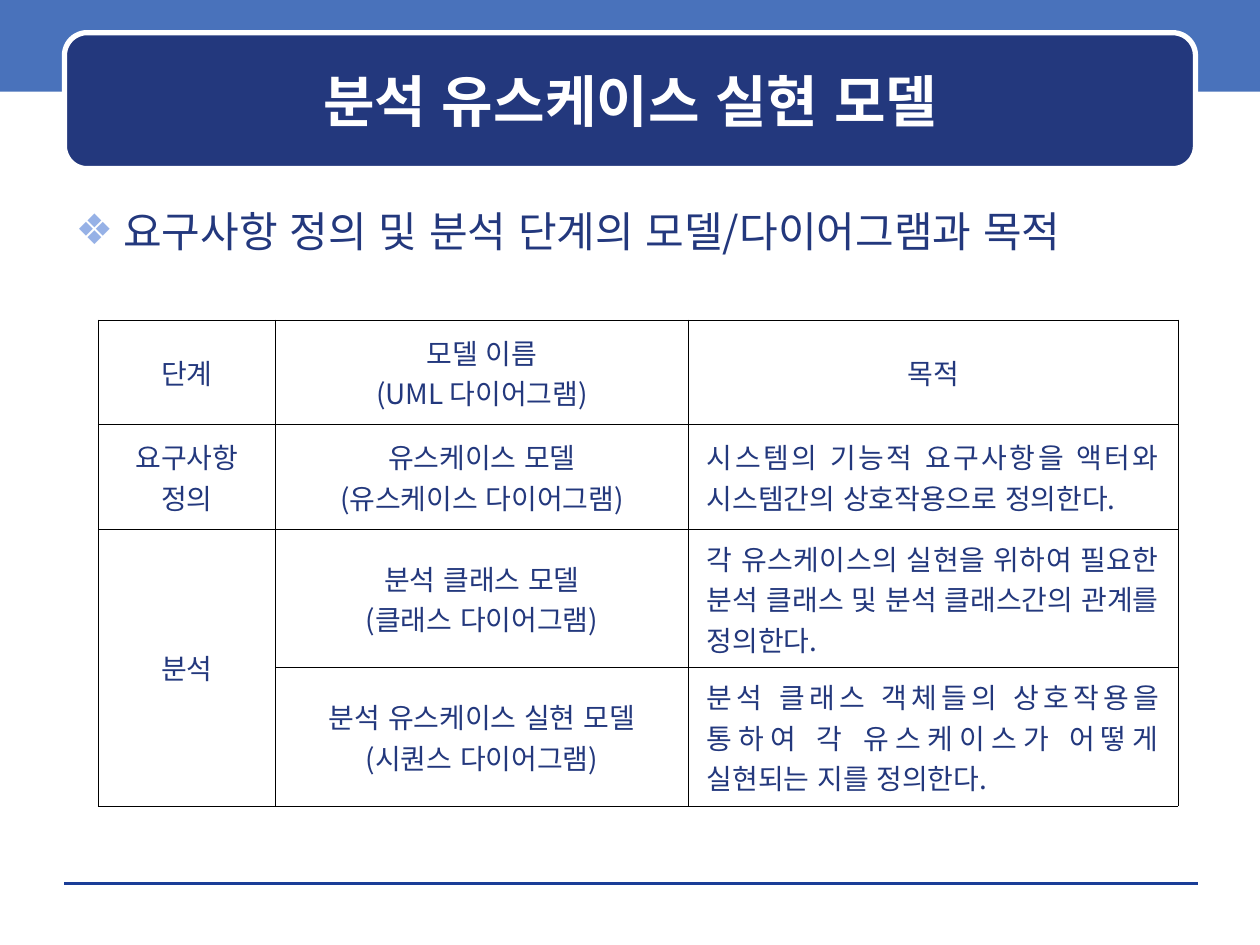
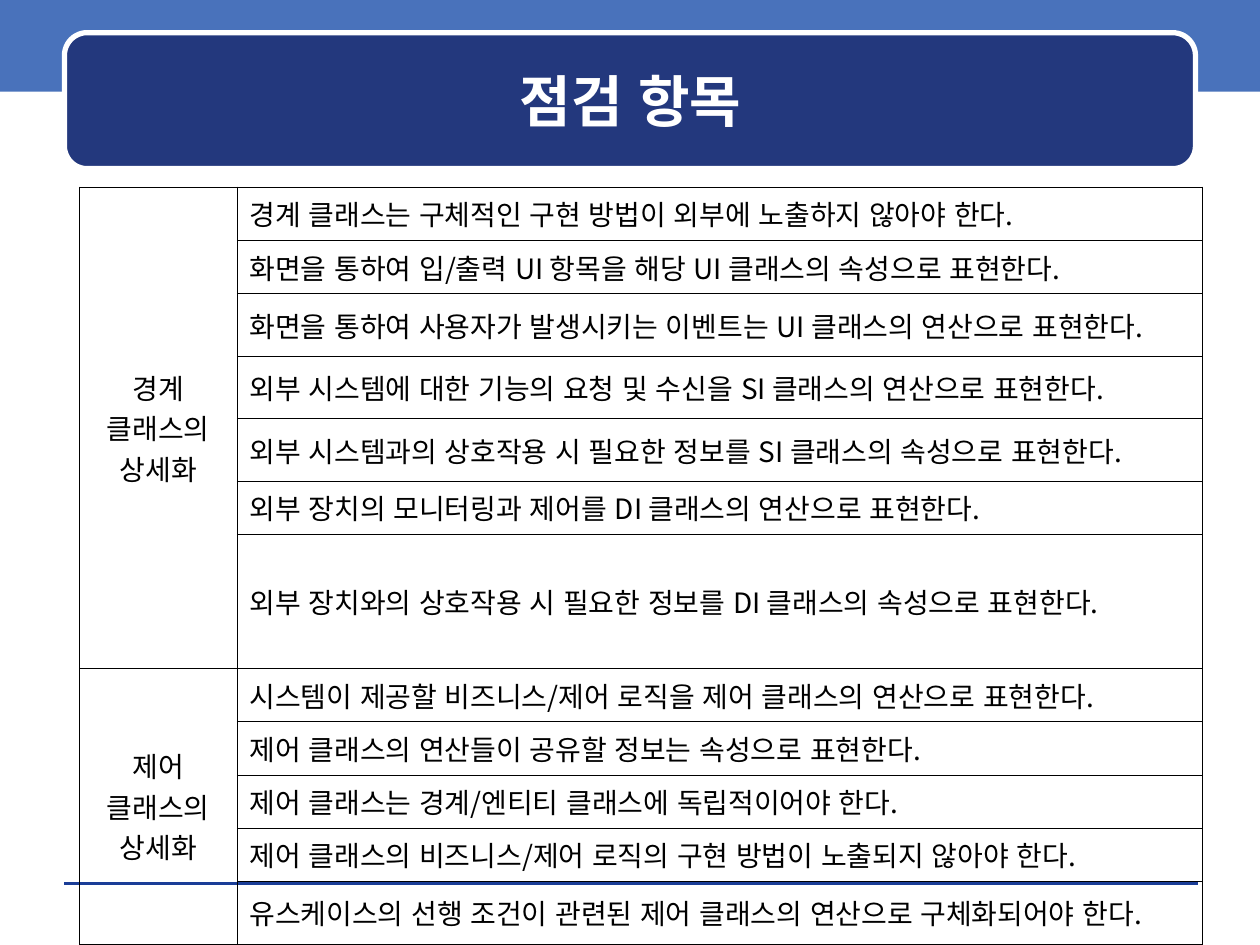
from lxml.etree import SubElement
from pptx import Presentation
from pptx.dml.color import RGBColor
from pptx.enum.lang import MSO_LANGUAGE_ID
from pptx.enum.shapes import MSO_CONNECTOR, MSO_SHAPE
from pptx.enum.text import MSO_ANCHOR, MSO_AUTO_SIZE, PP_ALIGN
from pptx.oxml.ns import qn
from pptx.util import Cm, Pt

FONT = "Noto Sans CJK KR"
NAVY, BLUE, PALE_BLUE, LINE_BLUE = "23387D", "4972BB", "96B1E6", "1A3D97"
WHITE, BLACK = "FFFFFF", "000000"

TITLE_FORMAT = {"size": Pt(32), "bold": True}
BODY_FORMAT = {"size": Pt(24), "bold": False}
CELL_FORMAT = {"size": Pt(16), "bold": False}

MODEL_ROWS = [
    ["단계", "모델 이름\n(UML 다이어그램)", "목적"],
    ["요구사항\n정의", "유스케이스 모델\n(유스케이스 다이어그램)",
     "시스템의 기능적 요구사항을 액터와 시스템간의 상호작용으로 정의한다."],
    ["분석", "분석 클래스 모델\n(클래스 다이어그램)",
     "각 유스케이스의 실현을 위하여 필요한 분석 클래스 및 분석 클래스간의 관계를 정의한다."],
    ["", "분석 유스케이스 실현 모델\n(시퀀스 다이어그램)",
     "분석 클래스 객체들의 상호작용을 통하여 각 유스케이스가 어떻게 실현되는 지를 정의한다."],
]

CHECK_GROUPS = {
    "경계 클래스의 상세화": [
        "경계 클래스는 구체적인 구현 방법이 외부에 노출하지 않아야 한다.",
        "화면을 통하여 입/출력 UI 항목을 해당 UI 클래스의 속성으로 표현한다.",
        "화면을 통하여 사용자가 발생시키는 이벤트는 UI 클래스의 연산으로 표현한다.",
        "외부 시스템에 대한 기능의 요청 및 수신을 SI 클래스의 연산으로 표현한다.",
        "외부 시스템과의 상호작용 시 필요한 정보를 SI 클래스의 속성으로 표현한다.",
        "외부 장치의 모니터링과 제어를 DI 클래스의 연산으로 표현한다.",
        "외부 장치와의 상호작용 시 필요한 정보를 DI 클래스의 속성으로 표현한다.",
    ],
    "제어 클래스의 상세화": [
        "시스템이 제공할 비즈니스/제어 로직을 제어 클래스의 연산으로 표현한다.",
        "제어 클래스의 연산들이 공유할 정보는 속성으로 표현한다.",
        "제어 클래스는 경계/엔티티 클래스에 독립적이어야 한다.",
        "제어 클래스의 비즈니스/제어 로직의 구현 방법이 노출되지 않아야 한다.",
        "유스케이스의 선행 조건이 관련된 제어 클래스의 연산으로 구체화되어야 한다.",
    ],
}


def color(hex_code):
    """Turn a hex string into a colour."""
    return RGBColor.from_string(hex_code)


def set_values(target, values):
    """Set every attribute named in a dict of format values."""
    for name, value in values.items():
        setattr(target, name, value)


def place(shape, left, top, width, height):
    """Move and size a shape, in centimetres."""
    set_values(shape, {"left": Cm(left), "top": Cm(top),
                       "width": Cm(width), "height": Cm(height)})


def write(para, text, hex_code, values, alignment):
    """Write one formatted span into a paragraph."""
    set_values(para, {"alignment": alignment, "space_before": Pt(0)})
    span = para.add_run()
    span.text = text
    set_values(span.font, {"name": FONT, "language_id": MSO_LANGUAGE_ID.KOREAN, **values})
    span.font.color.rgb = color(hex_code)
    SubElement(span.font._element, qn("a:ea"), typeface=FONT)


def add_panel(page, kind, area, fill):
    """Draw a filled shape without outline or shadow."""
    panel = page.shapes.add_shape(kind, *map(Cm, area))
    panel.shadow.inherit = False
    panel.fill.solid()
    panel.fill.fore_color.rgb = color(fill)
    panel.line.fill.background()
    return panel


def add_rule(page, left, right, y):
    """Draw the hairline above the footer."""
    rule = page.shapes.add_connector(MSO_CONNECTOR.STRAIGHT, Cm(left), Cm(y), Cm(right), Cm(y))
    rule.line.color.rgb = color(LINE_BLUE)
    rule.line.width = Pt(0)
    SubElement(rule.element.spPr, qn("a:effectLst"))
    return rule


def decorate_master(deck, page):
    """Draw the band, footer line and title panel and move them to the master."""
    band = add_panel(page, MSO_SHAPE.RECTANGLE, (0, -0.08, 25.4, 1.93), BLUE)
    rule = add_rule(page, 1.3, 24.16, 17.81)
    panel = add_panel(page, MSO_SHAPE.ROUNDED_RECTANGLE, (1.3, 0.66, 22.8, 2.74), NAVY)
    panel.line.color.rgb = color(WHITE)
    panel.line.width = Pt(3)
    tree = deck.slide_master.shapes.element
    for position, shape in enumerate((band, rule, panel), start=2):
        tree.insert(position, shape.element)


def add_title(page, text):
    """Fill the title placeholder on the navy panel."""
    title = page.shapes.title
    place(title, 1.52, 0.89, 22.38, 2.24)
    set_values(title.text_frame, {"vertical_anchor": MSO_ANCHOR.MIDDLE,
                                  "auto_size": MSO_AUTO_SIZE.NONE})
    write(title.text_frame.paragraphs[0], text, WHITE, TITLE_FORMAT, PP_ALIGN.CENTER)


def add_lead(page, text):
    """Fill the body placeholder with one bulleted line."""
    body = page.placeholders[1]
    place(body, 1.27, 4.01, 22.86, 13.54)
    body.text_frame.auto_size = MSO_AUTO_SIZE.NONE
    para = body.text_frame.paragraphs[0]
    write(para, text, NAVY, BODY_FORMAT, PP_ALIGN.LEFT)
    properties = para._p.get_or_add_pPr()
    properties.set("marL", str(Cm(0.96)))
    properties.set("indent", str(Cm(-0.96)))
    bullet_color = SubElement(properties, qn("a:buClr"))
    SubElement(bullet_color, qn("a:srgbClr"), val=PALE_BLUE)
    SubElement(properties, qn("a:buChar"), char="❖")


def add_borders(cell):
    """Give a cell thin black borders and no fill."""
    properties = cell._tc.get_or_add_tcPr()
    for side in ("lnL", "lnR", "lnT", "lnB"):
        border = SubElement(properties, qn(f"a:{side}"), w=str(Pt(0.45)))
        fill = SubElement(border, qn("a:solidFill"))
        SubElement(fill, qn("a:srgbClr"), val=BLACK)
    cell.fill.background()


def fill_cell(cell, text, hex_code, alignment, margin):
    """Format a cell and write one paragraph per line of text."""
    set_values(cell, {"vertical_anchor": MSO_ANCHOR.MIDDLE,
                      "margin_left": Cm(margin), "margin_right": Cm(margin),
                      "margin_top": Cm(0.13), "margin_bottom": Cm(0.13)})
    add_borders(cell)
    for index, line in enumerate(text.split("\n")):
        frame = cell.text_frame
        para = frame.add_paragraph() if index else frame.paragraphs[0]
        if line:
            write(para, line, hex_code, CELL_FORMAT, alignment)
        else:
            para.font.size = CELL_FORMAT["size"]


def add_grid(page, rows, left, top, widths, heights, hex_code, last_alignment, margin):
    """Add a bordered table; an empty first cell joins the one above it."""
    frame = page.shapes.add_table(len(rows), len(widths), Cm(left), Cm(top),
                                  Cm(sum(widths)), Cm(sum(heights)))
    table = frame.table
    set_values(table, {"first_row": False, "horz_banding": False})
    for column, width in zip(table.columns, widths):
        column.width = Cm(width)
    for row, height in zip(table.rows, heights):
        row.height = Cm(height)
    for y, texts in enumerate(rows):
        for x, text in enumerate(texts):
            is_last = x == len(texts) - 1 and text != "목적"
            alignment = last_alignment if is_last else PP_ALIGN.CENTER
            fill_cell(table.cell(y, x), text, hex_code, alignment, margin)
    starts = [y for y, texts in enumerate(rows) if texts[0]]
    for start, end in zip(starts, starts[1:] + [len(rows)]):
        if end - start > 1:
            table.cell(start, 0).merge(table.cell(end - 1, 0))


def build_model_page(page):
    """Build the page on models and their purposes."""
    add_title(page, "분석 유스케이스 실현 모델")
    add_lead(page, "요구사항 정의 및 분석 단계의 모델/다이어그램과 목적")
    add_grid(page, MODEL_ROWS, 1.98, 6.45, [3.58, 8.31, 9.88], [2.11, 2.11, 2.79, 2.79],
             NAVY, PP_ALIGN.JUSTIFY, 0.38)


def build_check_page(page):
    """Build the page with the check list."""
    add_title(page, "점검 항목")
    rows = [["" if index else group, item]
            for group, items in CHECK_GROUPS.items() for index, item in enumerate(items)]
    low, high, tall = 1.07, 1.26, 2.68
    heights = [low, low, high, high, high, low, tall] + [low] * 4 + [high]
    add_grid(page, rows, 1.6, 3.77, [3.18, 19.46], heights, BLACK, PP_ALIGN.LEFT, 0.25)


def main():
    """Build and save the deck."""
    deck = Presentation()
    set_values(deck, {"slide_width": Cm(25.4), "slide_height": Cm(19.05)})
    model_page = deck.slides.add_slide(deck.slide_layouts[1])
    check_page = deck.slides.add_slide(deck.slide_layouts[5])
    decorate_master(deck, model_page)
    build_model_page(model_page)
    build_check_page(check_page)
    deck.save("out.pptx")


if __name__ == "__main__":
    main()
